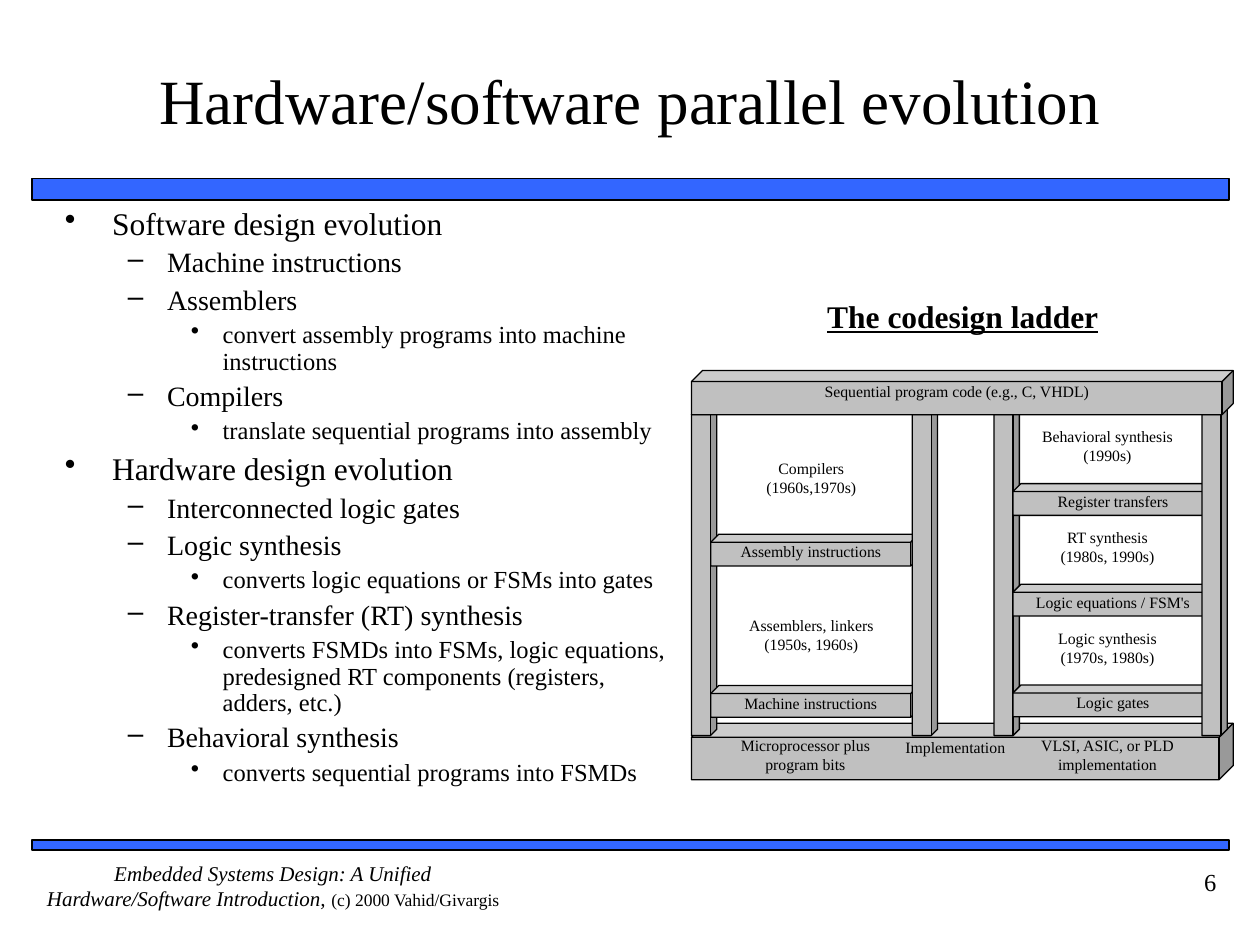
import pptx
import pptx.util
import pptx.dml.color
import pptx.enum.shapes
import pptx.enum.text
import pptx.oxml.ns
from lxml import etree

Cm, Pt = pptx.util.Cm, pptx.util.Pt
SHAPE = pptx.enum.shapes.MSO_SHAPE
ALIGN = pptx.enum.text.PP_ALIGN
ANCHOR = pptx.enum.text.MSO_ANCHOR
qn = pptx.oxml.ns.qn
RGB = pptx.dml.color.RGBColor.from_string
COLORS = {"bar": "3366FF", "wood": "C0C0C0", "paper": "FFFFFF", "ink": "000000"}


def box(parent, kind, x, y, w, h, fill=None, line=0):
    """Add a shape, or a text box when kind is None, with no insets."""
    at = Cm(x), Cm(y), Cm(w), Cm(h)
    if kind is None:
        sp = parent.add_textbox(*at)
    else:
        sp = parent.add_shape(kind, *at)
        sp.shadow.inherit = False
        sp.fill.solid()
        sp.fill.fore_color.rgb = RGB(COLORS[fill])
        if line:
            sp.line.color.rgb = RGB(COLORS["ink"])
            sp.line.width = Pt(line)
        else:
            sp.line.fill.background()
    tf = sp.text_frame
    tf.word_wrap = True
    tf.vertical_anchor = ANCHOR.TOP
    tf.margin_left = tf.margin_right = tf.margin_top = tf.margin_bottom = 0
    return sp


def write(p, text, size, align=ALIGN.CENTER):
    """Add one run to a paragraph."""
    p.alignment = align
    r = p.add_run()
    r.text = text
    r.font.name = "Times New Roman"
    r.font.size = Pt(size)
    r.font.color.rgb = RGB(COLORS["ink"])
    return r


prs = pptx.Presentation()
prs.slide_width, prs.slide_height = Cm(25.4), Cm(19.05)
s = prs.slides.add_slide(prs.slide_layouts[5])

# Title
sp = s.shapes.title
sp.left, sp.top, sp.width, sp.height = Cm(1.06), Cm(0.42), Cm(23.28), Cm(3.18)
tf = sp.text_frame
tf.vertical_anchor = ANCHOR.MIDDLE
tf.margin_left = tf.margin_right = 0
write(tf.paragraphs[0], "Hardware/software parallel evolution", 36)

# Bars above and below the content
for y, h in ((3.6, 0.43), (16.93, 0.21)):
    box(s.shapes, SHAPE.RECTANGLE, 0.64, y, 24.13, h, "bar", 1)

# Footer and slide number
p = box(s.shapes, None, 0.64, 17.35, 9.73, 1.27).text_frame.paragraphs[0]
write(p, "Embedded Systems Design: A Unified Hardware/Software Introduction, ", 12).font.italic = True
write(p, "(c) 2000 Vahid/Givargis", 10)
tf = box(s.shapes, None, 22.23, 17.35, 2.54, 1.27).text_frame
tf.margin_right, tf.margin_top = Cm(0.25), Cm(0.13)
write(tf.paragraphs[0], "6", 14, ALIGN.RIGHT)

# Bulleted outline: level, text
outline = [
    (0, "Software design evolution"),
    (1, "Machine instructions"),
    (1, "Assemblers"),
    (2, "convert assembly programs into machine instructions"),
    (1, "Compilers"),
    (2, "translate sequential programs into assembly"),
    (0, "Hardware design evolution"),
    (1, "Interconnected logic gates"),
    (1, "Logic synthesis"),
    (2, "converts logic equations or FSMs into gates"),
    (1, "Register-transfer (RT) synthesis"),
    (2, "converts FSMDs into FSMs, logic equations, predesigned RT components (registers, adders, etc.)"),
    (1, "Behavioral synthesis"),
    (2, "converts sequential programs into FSMDs"),
]
# Per level: size, space before, left margin, hanging indent, bullet
levels = [(18, 4.5, 0.95, 0.95, "•"), (16, 4, 2.06, 0.79, "–"), (14, 3.5, 3.18, 0.64, "•")]
tf = box(s.shapes, None, 1.06, 4.06, 12.67, 12.8).text_frame
tf.margin_left = tf.margin_right = Cm(0.25)
tf.margin_top = tf.margin_bottom = Cm(0.13)
for i, (level, text) in enumerate(outline):
    size, before, left, hang, bullet = levels[level]
    p = tf.paragraphs[0] if i == 0 else tf.add_paragraph()
    p.level = level
    p.line_spacing = 0.9
    if i:
        p.space_before = Pt(before)
    pPr = p._p.get_or_add_pPr()
    pPr.set("marL", str(Cm(left)))
    pPr.set("indent", str(-Cm(hang)))
    etree.SubElement(pPr, qn("a:buChar")).set("char", bullet)
    write(p, text, size, ALIGN.LEFT)

# Codesign ladder, from back to front: base, posts, rungs, posts, top
left_rung, right_rung = 14.33, 20.42
left_pitch, right_pitch = 3.05, 2.03
post = (8.23, 0.51, 6.6)
cubes = [
    (13.94, 14.58, 10.92, 1.14, "Implementation"),
    (13.94, *post, ""),
    (20.04, *post, ""),
]
for i, text in enumerate(("Assembly instructions", "Machine instructions")):
    cubes.append((left_rung, 10.77 + i * left_pitch, 4.19, 0.64, text))
for i, text in enumerate(("Register transfers", "Logic equations / FSM's", "Logic gates")):
    cubes.append((right_rung, 9.75 + i * right_pitch, 4.19, 0.64, text))
cubes += [
    (24.23, *post, ""),
    (18.39, *post, ""),
    (13.94, 7.47, 10.92, 0.89, "Sequential program code (e.g., C, VHDL)"),
]
ladder = s.shapes.add_group_shape().shapes
for x, y, w, h, text in cubes:
    sp = box(ladder, SHAPE.CUBE, x, y, w, h, "wood", 0.75)
    sp.adjustments[0] = 0.25
    if text:
        write(sp.text_frame.paragraphs[0], text, 9)

# Steps between the rungs
steps = [
    (14.83, 9.25, 1.14, "Compilers", "(1960s,1970s)"),
    (14.83, 12.42, 0.89, "Assemblers, linkers", "(1950s, 1960s)"),
    (20.8, 8.61, 1.02, "Behavioral synthesis", "(1990s)"),
    (20.8, 8.61 + right_pitch, 0.89, "RT synthesis", "(1980s, 1990s)"),
    (20.8, 8.61 + 2 * right_pitch, 1.02, "Logic synthesis", "(1970s, 1980s)"),
]
for x, y, h, name, years in steps:
    tf = box(ladder, SHAPE.RECTANGLE, x, y, 3.05, h, "paper").text_frame
    write(tf.paragraphs[0], name, 9)
    write(tf.add_paragraph(), years, 9)

# Labels on the base
for x, text in ((14.71, "Microprocessor plus program bits"), (20.8, "VLSI, ASIC, or PLD implementation")):
    write(box(ladder, None, x, 14.83, 3.05, 0.76).text_frame.paragraphs[0], text, 9)

# Ladder heading
p = box(ladder, None, 16.03, 5.99, 6.76, 0.76).text_frame.paragraphs[0]
r = write(p, "The codesign ladder", 18)
r.font.bold = r.font.underline = True

prs.save("out.pptx")
